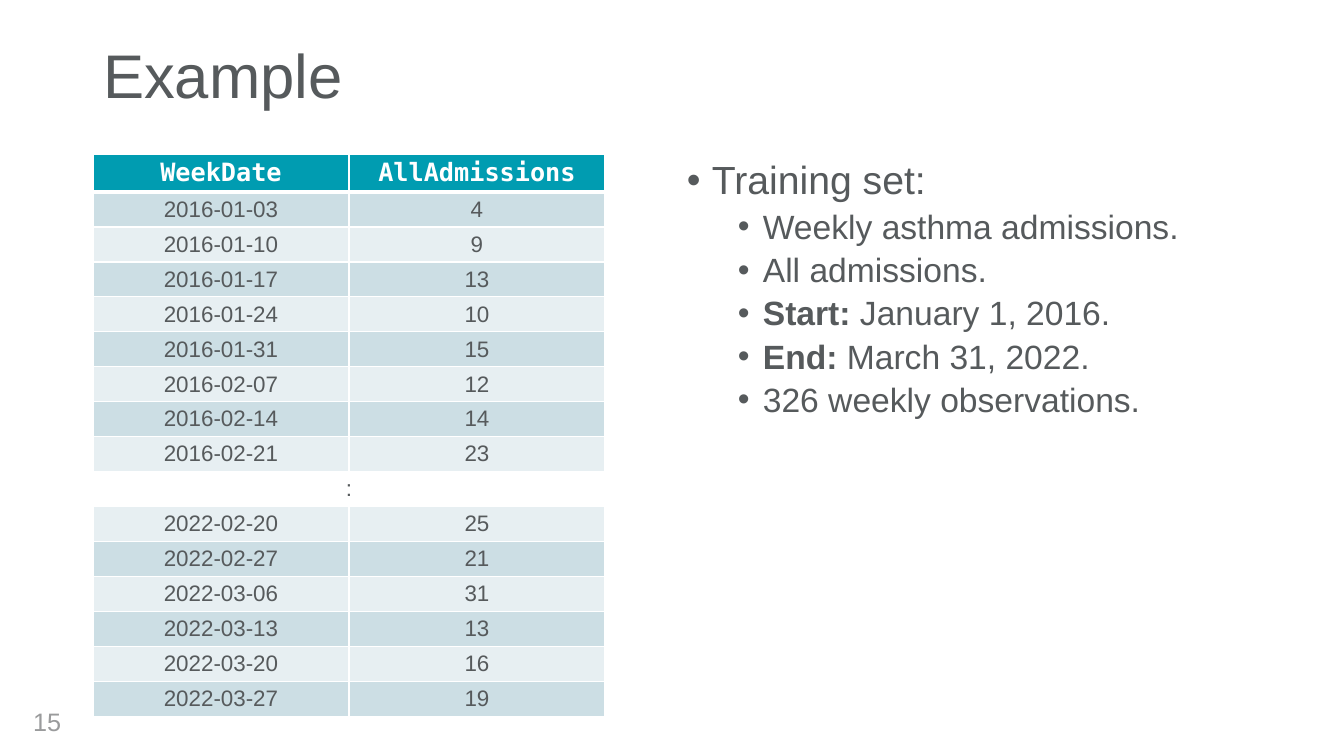
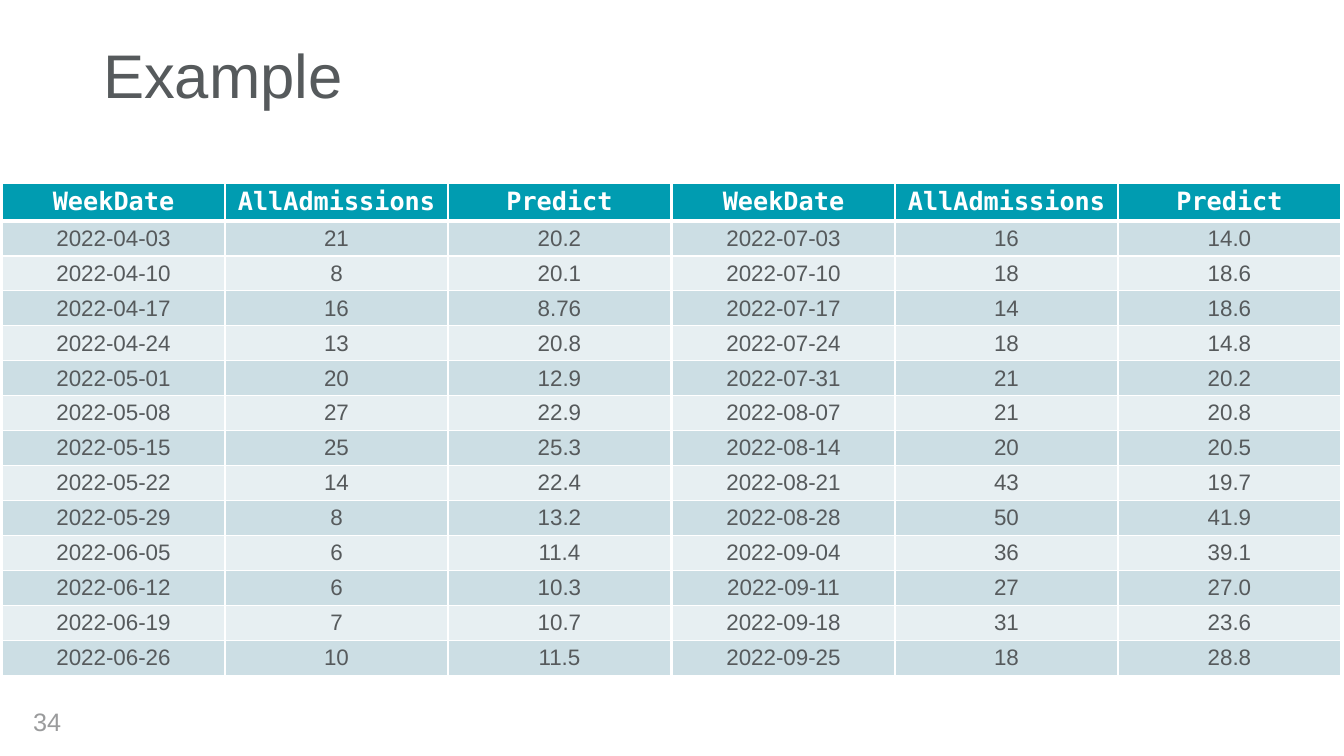
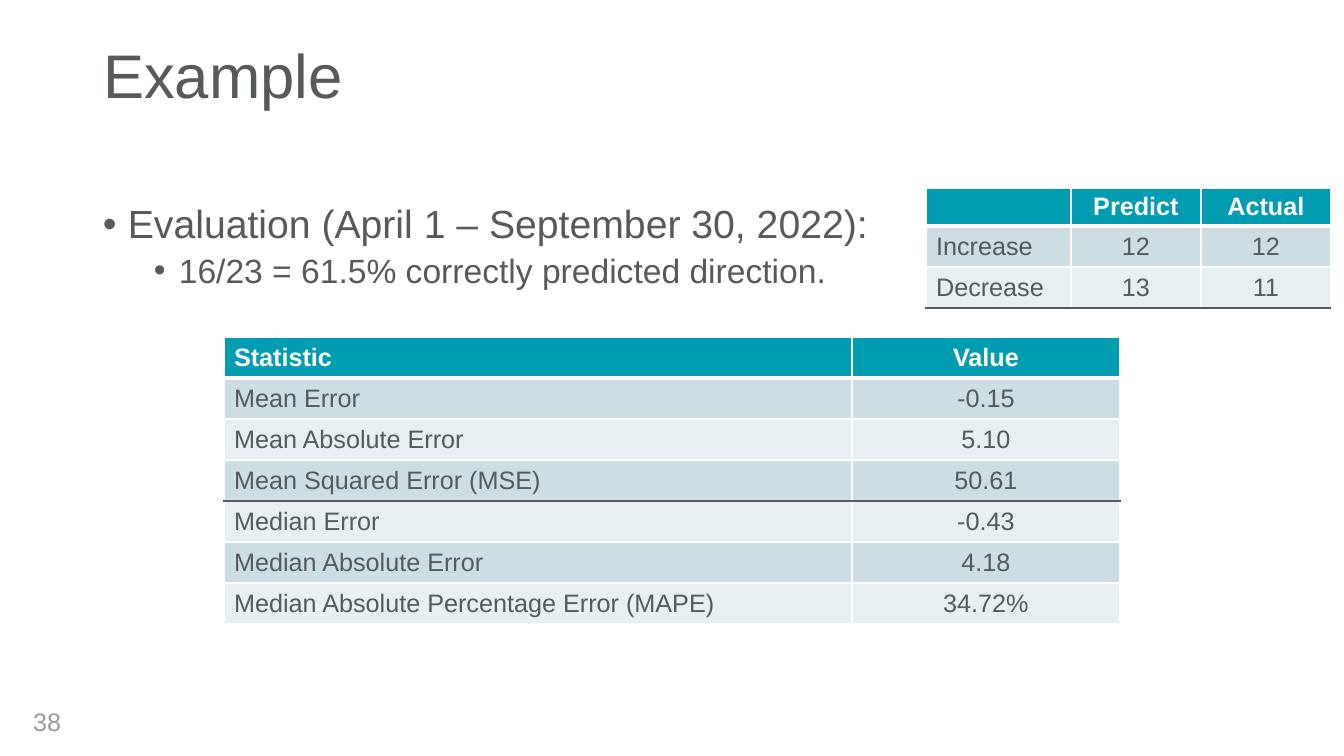
from dataclasses import dataclass

from lxml import etree
from pptx import Presentation
from pptx.dml.color import RGBColor
from pptx.enum.text import MSO_ANCHOR, MSO_AUTO_SIZE, PP_ALIGN
from pptx.oxml.ns import qn
from pptx.util import Pt

LEFT, CENTER, RIGHT = PP_ALIGN.LEFT, PP_ALIGN.CENTER, PP_ALIGN.RIGHT
TOP, MIDDLE = MSO_ANCHOR.TOP, MSO_ANCHOR.MIDDLE
NO_AUTOFIT = MSO_AUTO_SIZE.NONE
PX_PER_INCH = 100.8
TITLE_ONLY = 5


@dataclass(frozen=True)
class Theme:
    """Colours, fonts and type sizes shared by the slides."""

    ink: str = "565A5C"
    muted: str = "9A9B9C"
    paper: str = "FFFFFF"
    header: str = "009CB1"
    bands: tuple = ("E7EFF2", "CCDEE4")
    font: str = "Arial"
    mono: str = "DejaVu Sans Mono"
    title_size: int = 44
    bullet_sizes: tuple = (28, 24)
    bullet_gaps: tuple = (10, 5)
    bullet_indents: tuple = (25, 76)
    table_size: int = 18
    data_size: int = 16


def px(length):
    """Turn a length in px into EMU."""
    return round(length * 914400 / PX_PER_INCH)


class Deck:
    """Holds the presentation, its theme and the current slide."""

    def __init__(self, theme):
        """Start an empty widescreen deck."""
        self.theme = theme
        self.deck = Presentation()
        self.deck.slide_width, self.deck.slide_height = px(1344), px(756)
        self.page = None

    def add_page(self, title, number):
        """Add a slide with its title and page number."""
        self.page = self.deck.slides.add_slide(self.deck.slide_layouts[TITLE_ONLY])
        box = self.page.shapes.title
        box.left, box.top, box.width, box.height = map(px, (93, 40, 1159, 110))
        para = self.set_frame(box.text_frame, TOP).paragraphs[0]
        para.line_spacing = 0.9
        self.put_text(para, title, self.theme.title_size)
        frame = self.add_box(20, 701, 51, 40, MIDDLE)
        self.put_text(frame.paragraphs[0], number, self.theme.table_size,
                      color=self.theme.muted, align=RIGHT)

    def set_frame(self, frame, anchor):
        """Make a text frame wrap, keep its size and anchor its text."""
        frame.word_wrap = True
        frame.auto_size = NO_AUTOFIT
        frame.vertical_anchor = anchor
        return frame

    def add_box(self, left, top, width, height, anchor=TOP):
        """Add a text box and return its frame."""
        box = self.page.shapes.add_textbox(px(left), px(top), px(width), px(height))
        return self.set_frame(box.text_frame, anchor)

    def put_text(self, para, text, size, color=None, bold=False, align=LEFT, font=None):
        """Set the text of a paragraph and format its runs."""
        para.text = text
        para.alignment = align
        for span in para.runs:
            self.style(span, size, color, bold, font)

    def style(self, span, size, color=None, bold=False, font=None):
        """Format one run."""
        span.font.name = font or self.theme.font
        span.font.size = Pt(size)
        span.font.bold = bold
        span.font.color.rgb = RGBColor.from_string(color or self.theme.ink)

    def add_bullets(self, left, top, width, height, items):
        """Add bullets given as (level, bold lead, text)."""
        frame = self.add_box(left, top, width, height)
        for index, (level, lead, text) in enumerate(items):
            para = frame.add_paragraph() if index else frame.paragraphs[0]
            size = self.theme.bullet_sizes[level]
            self.put_text(para, lead or text, size, bold=bool(lead))
            if lead:
                span = para.add_run()
                span.text = text
                self.style(span, size)
            para.level = level
            para.line_spacing = 0.9
            para.space_before = Pt(self.theme.bullet_gaps[level])
            props = para._p.get_or_add_pPr()
            props.set("marL", str(px(self.theme.bullet_indents[level])))
            props.set("indent", str(-px(25)))
            etree.SubElement(props, qn("a:buFont")).set("typeface", self.theme.font)
            etree.SubElement(props, qn("a:buChar")).set("char", "•")

    def add_table(self, left, top, widths, rows, header_height, row_height,
                  size=None, header_font=None, first_align=CENTER, rule=None):
        """Add a banded table; a row of one value spans all columns."""
        theme = self.theme
        heights = [header_height] + [row_height] * (len(rows) - 1)
        table = self.page.shapes.add_table(
            len(rows), len(widths), px(left), px(top),
            px(sum(widths)), px(sum(heights))).table
        table.horz_banding = False
        for column, width in zip(table.columns, widths):
            column.width = px(width)
        edges = [(theme.paper, 1)] * (len(rows) + 1)
        edges[1] = (theme.paper, 3)
        if rule:
            edges[rule] = (theme.ink, 1)
        for index, values in enumerate(rows):
            table.rows[index].height = px(heights[index])
            spanning = len(values) == 1
            if spanning:
                table.cell(index, 0).merge(table.cell(index, len(widths) - 1))
            if index == 0:
                fill, look = theme.header, (theme.table_size, theme.paper, True)
            else:
                fill = theme.paper if spanning else theme.bands[index % 2]
                look = (size or theme.table_size, theme.ink, False)
            for position, value in enumerate(values):
                cell = table.cell(index, position)
                self.put_text(cell.text_frame.paragraphs[0], value, *look,
                              align=CENTER if position else first_align,
                              font=None if index else header_font)
            for cell in table.rows[index].cells:
                self.style_cell(cell, fill, edges[index], edges[index + 1])

    def style_cell(self, cell, fill, top, bottom):
        """Set fill, margins and borders of a table cell."""
        cell.vertical_anchor = MIDDLE
        cell.margin_top = cell.margin_bottom = px(2)
        cell.fill.solid()
        cell.fill.fore_color.rgb = RGBColor.from_string(fill)
        props = cell._tc.get_or_add_tcPr()
        side = (self.theme.paper, 1)
        borders = (("L", side), ("R", side), ("T", top), ("B", bottom))
        for index, (name, (color, width)) in enumerate(borders):
            line = etree.Element(qn("a:ln" + name), w=str(Pt(width)))
            paint = etree.SubElement(line, qn("a:solidFill"))
            etree.SubElement(paint, qn("a:srgbClr")).set("val", color)
            props.insert(index, line)


TRAINING = [
    ("WeekDate", "AllAdmissions"),
    ("2016-01-03", "4"),
    ("2016-01-10", "9"),
    ("2016-01-17", "13"),
    ("2016-01-24", "10"),
    ("2016-01-31", "15"),
    ("2016-02-07", "12"),
    ("2016-02-14", "14"),
    ("2016-02-21", "23"),
    (":",),
    ("2022-02-20", "25"),
    ("2022-02-27", "21"),
    ("2022-03-06", "31"),
    ("2022-03-13", "13"),
    ("2022-03-20", "16"),
    ("2022-03-27", "19"),
]
TRAINING_NOTES = [
    (0, "", "Training set:"),
    (1, "", "Weekly asthma admissions."),
    (1, "", "All admissions."),
    (1, "Start:", " January 1, 2016."),
    (1, "End:", " March 31, 2022."),
    (1, "", "326 weekly observations."),
]
FORECAST_HEADER = ("WeekDate", "AllAdmissions", "Predict")
SPRING = [
    ("2022-04-03", "21", "20.2"),
    ("2022-04-10", "8", "20.1"),
    ("2022-04-17", "16", "8.76"),
    ("2022-04-24", "13", "20.8"),
    ("2022-05-01", "20", "12.9"),
    ("2022-05-08", "27", "22.9"),
    ("2022-05-15", "25", "25.3"),
    ("2022-05-22", "14", "22.4"),
    ("2022-05-29", "8", "13.2"),
    ("2022-06-05", "6", "11.4"),
    ("2022-06-12", "6", "10.3"),
    ("2022-06-19", "7", "10.7"),
    ("2022-06-26", "10", "11.5"),
]
SUMMER = [
    ("2022-07-03", "16", "14.0"),
    ("2022-07-10", "18", "18.6"),
    ("2022-07-17", "14", "18.6"),
    ("2022-07-24", "18", "14.8"),
    ("2022-07-31", "21", "20.2"),
    ("2022-08-07", "21", "20.8"),
    ("2022-08-14", "20", "20.5"),
    ("2022-08-21", "43", "19.7"),
    ("2022-08-28", "50", "41.9"),
    ("2022-09-04", "36", "39.1"),
    ("2022-09-11", "27", "27.0"),
    ("2022-09-18", "31", "23.6"),
    ("2022-09-25", "18", "28.8"),
]
EVALUATION_NOTES = [
    (0, "", "Evaluation (April 1 – September 30, 2022):"),
    (1, "", "16/23 = 61.5% correctly predicted direction."),
]
DIRECTIONS = [
    ("", "Predict", "Actual"),
    ("Increase", "12", "12"),
    ("Decrease", "13", "11"),
]
STATISTICS = [
    ("Statistic", "Value"),
    ("Mean Error", "-0.15"),
    ("Mean Absolute Error", "5.10"),
    ("Mean Squared Error (MSE)", "50.61"),
    ("Median Error", "-0.43"),
    ("Median Absolute Error", "4.18"),
    ("Median Absolute Percentage Error (MAPE)", "34.72%"),
]


def main():
    """Build the three slides and save the deck."""
    theme = Theme()
    deck = Deck(theme)
    weekly = {"header_height": 38, "row_height": 35,
              "size": theme.data_size, "header_font": theme.mono}

    deck.add_page("Example", "15")
    deck.add_bullets(677, 156, 575, 280, TRAINING_NOTES)
    deck.add_table(93, 154, [256] * 2, TRAINING, **weekly)

    deck.add_page("Example", "34")
    for left, weeks in ((2, SPRING), (672, SUMMER)):
        deck.add_table(left, 183, [223] * 3, [FORECAST_HEADER] + weeks, **weekly)

    deck.add_page("Example", "38")
    deck.add_bullets(93, 200, 906, 110, EVALUATION_NOTES)
    deck.add_table(926, 188, [145, 130, 130], DIRECTIONS, 38, 41,
                   first_align=LEFT, rule=3)
    deck.add_table(224, 337, [628, 268], STATISTICS, 41, 41,
                   first_align=LEFT, rule=4)

    deck.deck.save("out.pptx")


if __name__ == "__main__":
    main()
